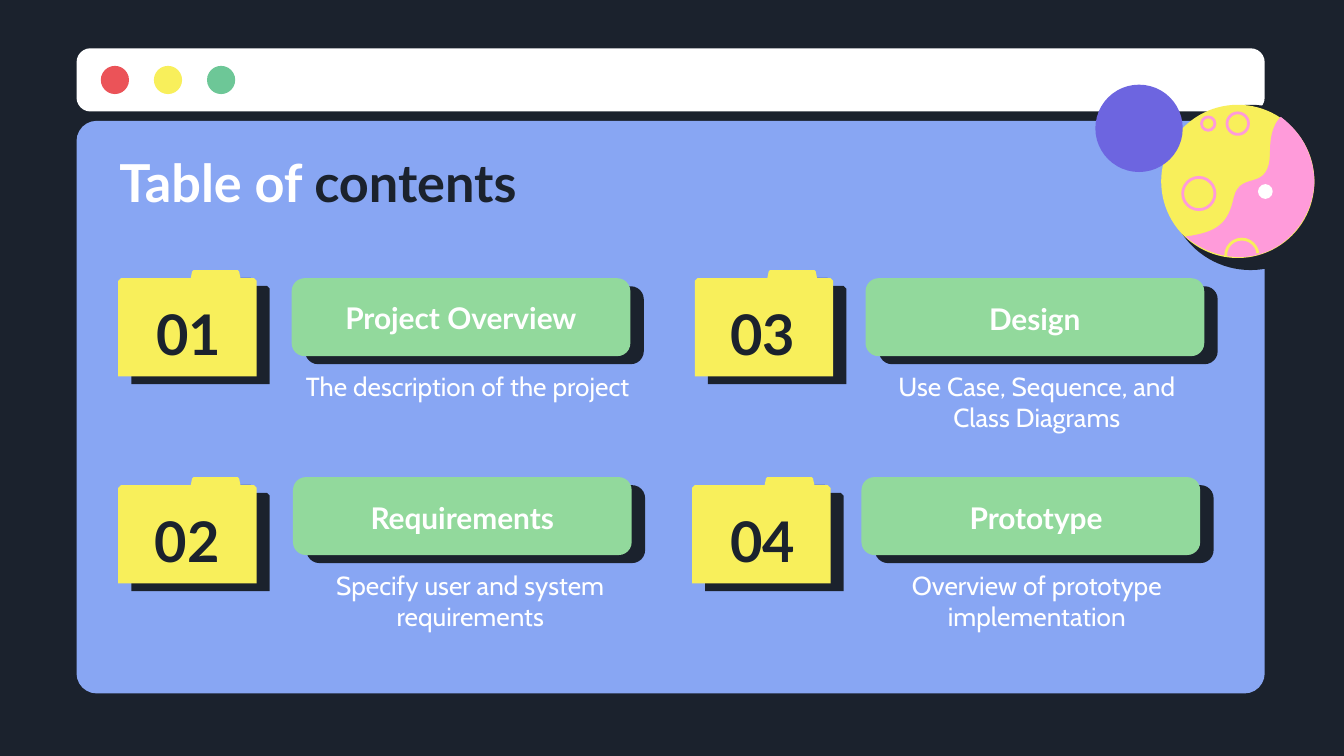
from dataclasses import dataclass

from lxml.etree import SubElement
from pptx import Presentation
from pptx.dml.color import RGBColor as RGB
from pptx.enum.shapes import MSO_SHAPE as Kind
from pptx.enum.text import MSO_ANCHOR as Anchor, PP_ALIGN as Align
from pptx.oxml.ns import qn
from pptx.util import Inches, Pt


@dataclass(frozen=True)
class Theme:
    dark: str = "1B222D"
    white: str = "FFFFFF"
    red: str = "EB5358"
    yellow: str = "F8EF5B"
    teal: str = "6DC797"
    blue: str = "88A6F3"
    pink: str = "FF9BDA"
    purple: str = "6D65E0"
    green: str = "92D99C"
    head: str = "Lato"
    body: str = "Cabin"
    title: int = 28
    number: int = 30
    topic: int = 16
    note: int = 14


theme = Theme()
deck = Presentation()
deck.slide_width = Inches(10)
deck.slide_height = Inches(10) * 9 // 16
slide = deck.slides.add_slide(deck.slide_layouts[6])
slide.background.fill.solid()
slide.background.fill.fore_color.rgb = RGB.from_string(theme.dark)
shapes = slide.shapes


def block(kind, x, y, w, h, fill=None, line=None, width=1.5):
    """Add a preset shape with a plain fill, a plain outline, or both."""
    shape = shapes.add_shape(kind, Inches(x), Inches(y), Inches(w), Inches(h))
    shape.shadow.inherit = False
    for part, color in ((shape.fill, fill), (shape.line.fill, line)):
        if color:
            part.solid()
            part.fore_color.rgb = RGB.from_string(color)
        else:
            part.background()
    if line:
        shape.line.width = Pt(width)
    return shape


def label(runs, x, y, w, h, size, font=theme.head, align=Align.CENTER, anchor=Anchor.MIDDLE):
    """Add one paragraph made of (words, color) runs."""
    frame = shapes.add_textbox(Inches(x), Inches(y), Inches(w), Inches(h)).text_frame
    frame.word_wrap = True
    frame.vertical_anchor = anchor
    frame.margin_left = frame.margin_right = Inches(0.1)
    frame.margin_top = frame.margin_bottom = Inches(0.1)
    para = frame.paragraphs[0]
    para.alignment = align
    para.font.name, para.font.size = font, Pt(size)
    para.font.bold = font == theme.head
    for words, color in runs:
        run = para.add_run()
        run.text = words
        run.font.color.rgb = RGB.from_string(color)


# Browser window
block(Kind.ROUNDED_RECTANGLE, 0.57, 0.36, 8.84, 0.47, theme.white).adjustments[0] = 0.22
for col, color in enumerate((theme.red, theme.yellow, theme.teal)):
    block(Kind.OVAL, 0.75 + 0.395 * col, 0.49, 0.21, 0.21, color)
block(Kind.ROUNDED_RECTANGLE, 0.57, 0.9, 8.84, 4.26, theme.blue).adjustments[0] = 0.035

# Planet
block(Kind.OVAL, 8.69, 0.78, 1.23, 1.23, theme.dark)
block(Kind.OVAL, 8.64, 0.78, 1.14, 1.14, theme.yellow)
for x, y, r in ((8.92, 1.44, 0.12), (9.21, 0.92, 0.08), (8.99, 0.92, 0.05)):
    block(Kind.OVAL, x - r, y - r, 2 * r, 2 * r, line=theme.pink)

start = here = (9.53, 0.87)
curves = (
    ((9.61, 0.93), (9.69, 1.02), (9.73, 1.12)),
    ((9.76, 1.19), (9.78, 1.27), (9.78, 1.36)),
    ((9.77, 1.6), (9.61, 1.82), (9.38, 1.89)),
    ((9.19, 1.95), (8.97, 1.89), (8.82, 1.76)),
    ((9.06, 1.73), (9.14, 1.66), (9.18, 1.47)),
    ((9.23, 1.26), (9.45, 1.44), (9.45, 1.13)),
    ((9.45, 0.98), (9.49, 0.91), start),
)
points = []
for one, two, end in curves:
    for step in range(1, 17):
        t = step / 16
        s = 1 - t
        points.append([
            Inches(s**3 * a + 3 * s * s * t * b + 3 * s * t * t * c + t**3 * d)
            for a, b, c, d in zip(here, one, two, end)
        ])
    here = end
pen = shapes.build_freeform(Inches(start[0]), Inches(start[1]))
pen.add_line_segments(points)
land = pen.convert_to_shape()
land.shadow.inherit = False
land.fill.solid()
land.fill.fore_color.rgb = RGB.from_string(theme.pink)
land.line.fill.background()

crater = block(Kind.ARC, 9.12, 1.78, 0.24, 0.24, line=theme.yellow)
for i, angle in enumerate((178, 353)):
    crater.adjustments[i] = angle * 0.6  # 60000ths of a degree, over 100000
block(Kind.OVAL, 9.36, 1.37, 0.11, 0.11, theme.white)
block(Kind.OVAL, 8.15, 0.63, 0.65, 0.65, theme.purple)

label((("Table of ", theme.white), ("contents", theme.dark)), 0.79, 1.02, 8.43, 0.62,
      theme.title, align=Align.LEFT, anchor=Anchor.TOP)

# Each topic: number, heading, note, folder x and y, bar x and y,
# number x, heading center x and y, note x and width
topics = (
    ("01", "Project Overview", "The description of the project",
     0.88, 2.01, 2.17, 2.07, 0.97, 3.43, 2.36, 2.17, 2.62),
    ("02", "Requirements", "Specify user and system requirements",
     0.88, 3.55, 2.18, 3.55, 0.96, 3.44, 3.85, 2.28, 2.44),
    ("03", "Design", "Use Case, Sequence, and Class Diagrams",
     5.17, 2.01, 6.44, 2.07, 5.24, 7.7, 2.37, 6.49, 2.45),
    ("04", "Prototype", "Overview of prototype implementation",
     5.15, 3.55, 6.41, 3.55, 5.24, 7.71, 3.85, 6.49, 2.45),
)
outline = ((1.03, 0.08), (1.03, 0.79), (0, 0.79), (0, 0.08), (0.02, 0.06), (0.54, 0.06),
           (0.55, 0.01), (0.56, 0), (0.89, 0), (0.9, 0.01), (0.91, 0.06), (1.01, 0.06))

for num, head, note, left, top, bar, row, spot, mid, level, side, wide in topics:
    for shift, drop, color in ((0.1, 0.06, theme.dark), (0, 0, theme.green)):
        block(Kind.ROUNDED_RECTANGLE, bar + shift, row + drop, 2.52, 0.58, color)

    corners = [(Inches(left + x), Inches(top + y)) for x, y in outline]
    pen = shapes.build_freeform(*corners[0])
    pen.add_line_segments(corners[1:])
    folder = pen.convert_to_shape()
    folder.fill.solid()
    folder.fill.fore_color.rgb = RGB.from_string(theme.yellow)
    folder.line.fill.background()
    folder.shadow.inherit = False
    effects = folder._element.spPr.find(qn("a:effectLst"))
    shade = SubElement(effects, qn("a:outerShdw"), dist=str(Pt(8.2)),
                       dir=str(31 * 60000), algn="bl", rotWithShape="0")
    SubElement(shade, qn("a:srgbClr"), val=theme.dark)

    label(((num, theme.dark),), spot, top + 0.14, 0.87, 0.65, theme.number)
    label(((head, theme.white),), mid - 1.15, level - 0.23, 2.3, 0.46, theme.topic)
    label(((note, theme.white),), side, row + 0.585, wide, 0.58, theme.note,
          font=theme.body, anchor=Anchor.TOP)

deck.save("out.pptx")
